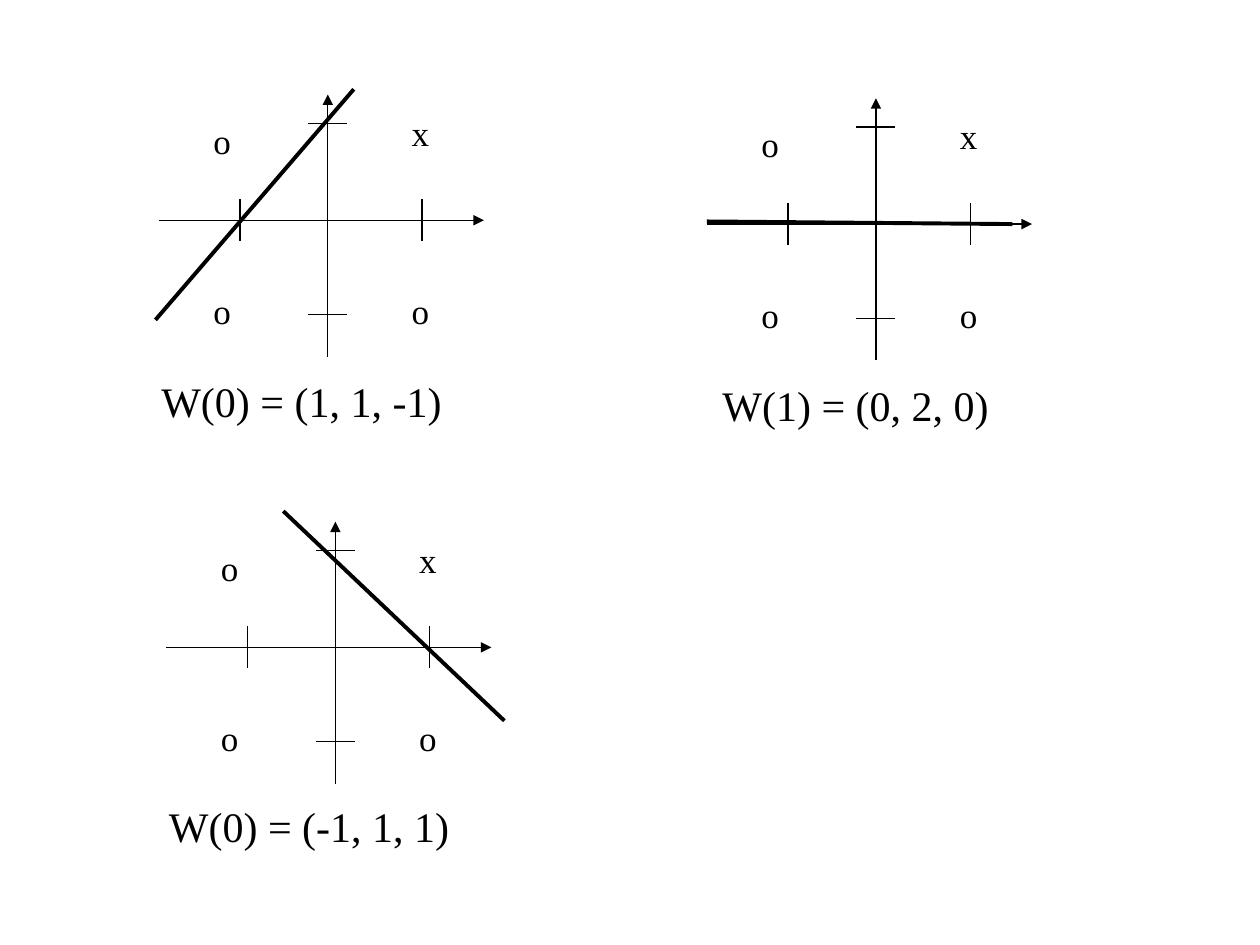
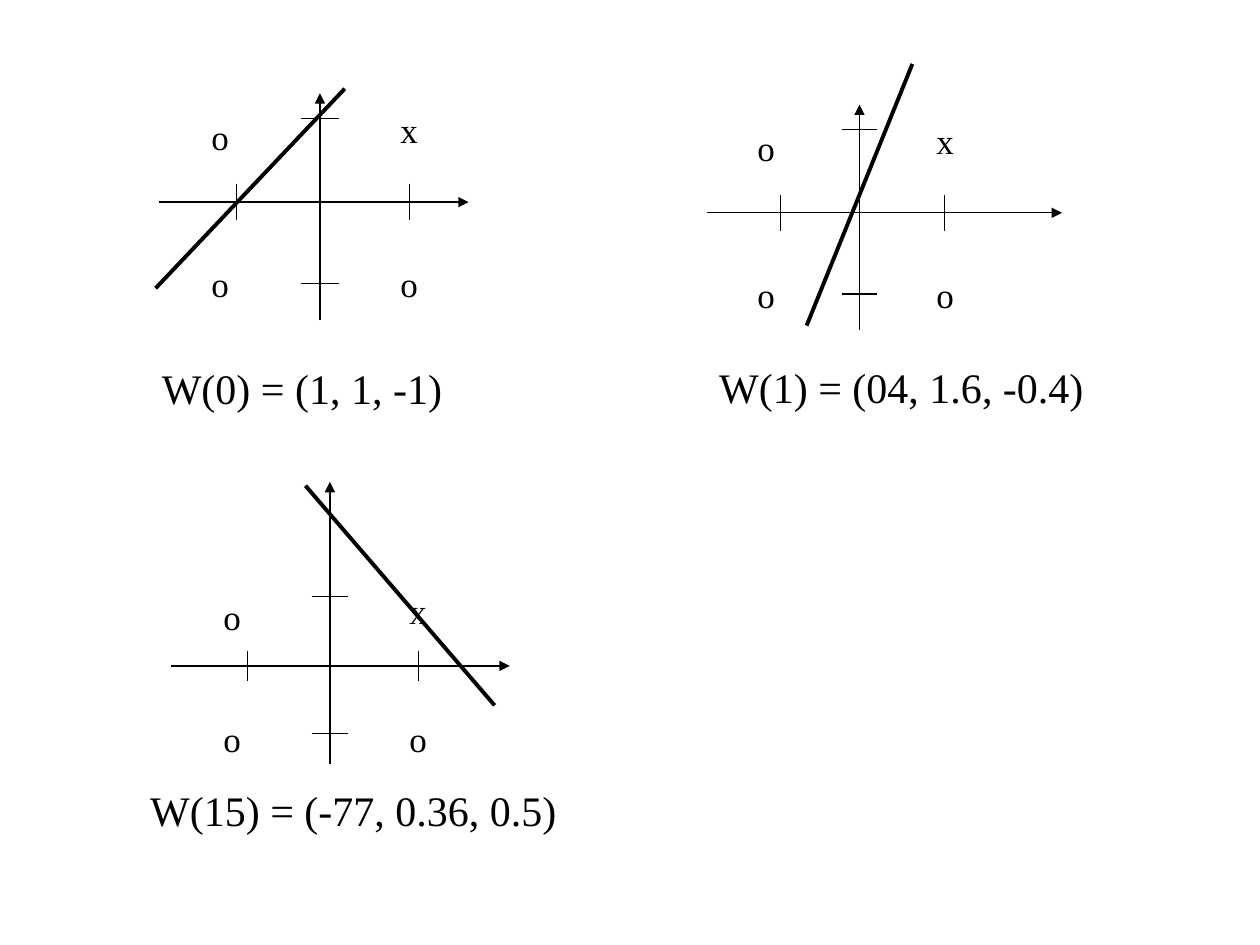
import dataclasses
import pptx
import pptx.dml.color
import pptx.enum.shapes
import pptx.enum.text
import pptx.oxml.ns
import pptx.util
import lxml.etree

INK = pptx.dml.color.RGBColor(0, 0, 0)
PAPER = pptx.dml.color.RGBColor(255, 255, 255)
FONT = "Times New Roman"
WIDE, HIGH = pptx.util.Inches(10), pptx.util.Inches(7.5)
COL, ROW = WIDE / 100, HIGH / 75
THIN, THICK = 0.75, 2.25
MARK, LARGE = 20, 24
MID_X, MID_Y = 0.52, 0.48
TICKS_X, TICKS_Y = (0.25, 0.81), (0.11, 0.84)
HALF_X, HALF_Y = 0.06, 0.08
DASH = (0.74, 0.77)
SIGNS = (("x", 0.74, 0.04), ("o", 0.74, 0.72), ("o", 0.13, 0.72), ("o", 0.13, 0.07))


@dataclasses.dataclass
class Plot:
    """One plot: box and caption width in grid units, the rest in shares of the box."""
    box: tuple
    split: tuple
    label: str
    spot: tuple
    span: float
    reach: float = 1
    peak: float = 0


FIRST = (
    Plot((56.1, 7.8, 25.8, 20.8), (0.94, 0.48, 0, 0.47),
         "W(1) = (0, 2, 0)", (0.01, 1.05), 29.6),
    Plot((12.6, 7.5, 25.8, 20.8), (0.6, -0.02, -0.01, 0.86),
         "W(0) = (1, 1, -1)", (-0.03, 1.05), 29.6),
    Plot((13.2, 41.4, 25.8, 20.8), (0.36, -0.04, 1.04, 0.76),
         "W(0) = (-1, 1, 1)", (-0.03, 1.04), 29.6),
)
SECOND = (
    Plot((56.1, 8.3, 23.3, 17.9), (0.7, -0.18, 0.34, 0.98),
         "W(1) = (04, 1.6, -0.4)", (0, 1.11), 32.4, reach=1.21),
    Plot((12.6, 7.4, 24.6, 18), (0.6, -0.02, -0.01, 0.86),
         "W(0) = (1, 1, -1)", (-0.03, 1.16), 28.2),
    Plot((13.6, 45.7, 24.2, 14.9), (0.44, -0.48, 1.06, 0.69),
         "W(15) = (-77, 0.36, 0.5)", (-0.11, 1.08), 34.9, reach=1.11, peak=-0.5),
)


def place(box, x, y):
    """Turn shares of a box into a point on the slide."""
    left, top, width, height = box
    return round((left + x * width) * COL), round((top + y * height) * ROW)


def rule(group, box, ends, weight=THIN, arrow=False):
    """Draw a straight line between two points given in shares of the box."""
    line = group.shapes.add_connector(
        pptx.enum.shapes.MSO_CONNECTOR.STRAIGHT,
        *place(box, *ends[:2]), *place(box, *ends[2:]))
    line.line.color.rgb = INK
    line.line.width = pptx.util.Pt(weight)
    if arrow:
        tail = lxml.etree.SubElement(line.line._get_or_add_ln(), pptx.oxml.ns.qn("a:tailEnd"))
        tail.set("type", "triangle")
    lxml.etree.SubElement(line._element.spPr, pptx.oxml.ns.qn("a:effectLst"))


def write(group, box, spot, text, size, width, height):
    """Add a text box whose corner is given in shares of the box."""
    note = group.shapes.add_textbox(
        *place(box, *spot), round(width * COL), round(height * ROW))
    frame = note.text_frame
    frame.word_wrap = True
    frame.auto_size = pptx.enum.text.MSO_AUTO_SIZE.SHAPE_TO_FIT_TEXT
    para = frame.paragraphs[0]
    para.space_before = pptx.util.Pt(size * 0.625)
    run = para.add_run()
    run.text = text
    run.font.name = FONT
    run.font.size = pptx.util.Pt(size)
    run.font.color.rgb = INK


def draw_axes(group, plot):
    """Draw both axes with their ticks."""
    box = plot.box
    rule(group, box, (0, MID_Y, plot.reach, MID_Y), arrow=True)
    rule(group, box, (MID_X, 1, MID_X, plot.peak), arrow=True)
    rule(group, box, (DASH[0], MID_Y, DASH[1], MID_Y))
    for x in TICKS_X:
        rule(group, box, (x, MID_Y - HALF_Y, x, MID_Y + HALF_Y))
    for y in TICKS_Y:
        rule(group, box, (MID_X - HALF_X, y, MID_X + HALF_X, y))


def draw_plot(slide, plot):
    """Draw one plot with its split line, signs and caption."""
    group = slide.shapes.add_group_shape()
    draw_axes(group, plot)
    rule(group, plot.box, plot.split, THICK)
    for sign, x, y in SIGNS:
        write(group, plot.box, (x, y), sign, MARK, 3.3, 4.4)
    write(group, plot.box, plot.spot, plot.label, LARGE, plot.span, 5)


def add_slide(deck, plots):
    """Add a blank slide that holds the given plots."""
    slide = deck.slides.add_slide(deck.slide_layouts[6])
    slide.background.fill.solid()
    slide.background.fill.fore_color.rgb = PAPER
    for plot in plots:
        draw_plot(slide, plot)


def main():
    """Build and save the deck."""
    deck = pptx.Presentation()
    deck.slide_width, deck.slide_height = WIDE, HIGH
    for plots in (FIRST, SECOND):
        add_slide(deck, plots)
    deck.save("out.pptx")


if __name__ == "__main__":
    main()
